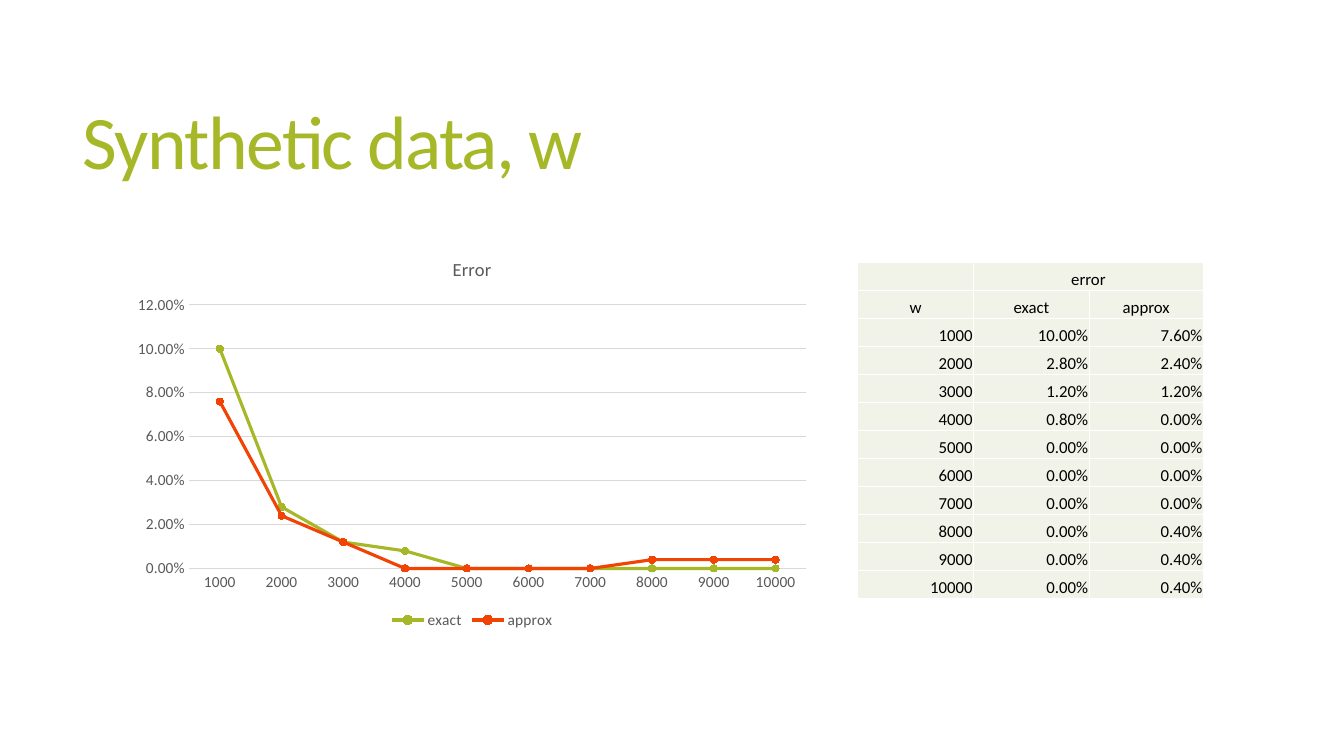
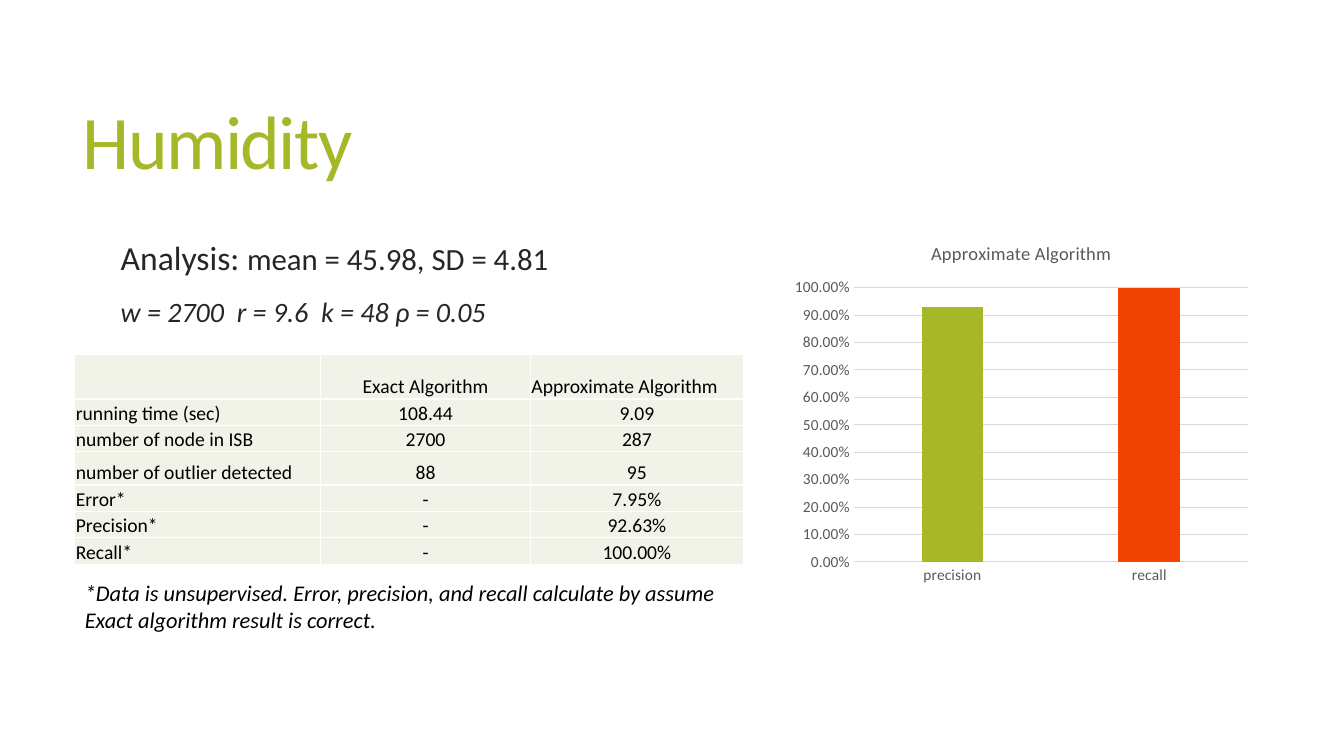
"""Build two slides on algorithm error: a synthetic test and the humidity data."""
from dataclasses import dataclass

from lxml import etree
from pptx import Presentation
from pptx import slide as sl
from pptx import util as u
from pptx.chart import chart as ch
from pptx.chart import data as cd
from pptx.dml import color as clr
from pptx.enum import chart as ec
from pptx.enum import text as et
from pptx.oxml import ns
from pptx.text import text as tx

COLORS = {
    "green": "A6B727",
    "red": "F04304",
    "cell": "F1F3E8",
    "white": "FFFFFF",
    "black": "000000",
    "body": "262626",
    "label": "595959",
    "grid": "D9D9D9",
}
FONT = "Calibri"
ALIGN = {
    "l": et.PP_ALIGN.LEFT,
    "c": et.PP_ALIGN.CENTER,
    "r": et.PP_ALIGN.RIGHT,
}


@dataclass(frozen=True)
class Box:
    left: float
    top: float
    width: float
    height: float

    def lengths(self) -> tuple[u.Length, ...]:
        return tuple(u.Pt(v) for v in (self.left, self.top, self.width, self.height))


@dataclass(frozen=True)
class Row:
    cells: list[str]
    align: str
    height: float


@dataclass(frozen=True)
class Series:
    name: str
    values: list[float]


TITLE_BOX = Box(52, 39.5, 848, 130.5)


def rgb(name: str) -> clr.RGBColor:
    return clr.RGBColor.from_string(COLORS[name])


def style_font(font: tx.Font, size: float, color: str, italic: bool = False) -> None:
    font.name = FONT
    font.size = u.Pt(size)
    font.color.rgb = rgb(color)
    font.bold = False
    font.italic = italic


def write(p: tx._Paragraph, text: str, *, size: float, color: str = "black",
          italic: bool = False, align: str = "l", tracking: float = 0) -> None:
    p.alignment = ALIGN[align]
    r = p.add_run()
    r.text = text
    style_font(r.font, size, color, italic)
    if tracking:
        r.font._element.set("spc", str(round(tracking * 100)))


def place(sp, box: Box) -> None:
    sp.left, sp.top, sp.width, sp.height = box.lengths()


def add_slide(prs, layout: int, title: str) -> sl.Slide:
    s = prs.slides.add_slide(prs.slide_layouts[layout])
    sp = s.shapes.title
    place(sp, TITLE_BOX)
    tf = sp.text_frame
    tf.auto_size = et.MSO_AUTO_SIZE.NONE
    tf.vertical_anchor = et.MSO_ANCHOR.MIDDLE
    p = tf.paragraphs[0]
    p.line_spacing = 0.85
    write(p, title, size=54, color="green", tracking=-1.2)
    return s


def add_borders(cell) -> None:
    tc_pr = cell._tc.get_or_add_tcPr()
    for side in ("L", "R", "T", "B"):
        ln = etree.SubElement(tc_pr, ns.qn(f"a:ln{side}"), w=str(u.Pt(1)))
        fill = etree.SubElement(ln, ns.qn("a:solidFill"))
        etree.SubElement(fill, ns.qn("a:srgbClr"), val=COLORS["white"])


def add_table(s: sl.Slide, box: Box, widths: list[float], rows: list[Row], size: float):
    tbl = s.shapes.add_table(len(rows), len(widths), *box.lengths()).table
    tbl.first_row = tbl.horz_banding = False
    for col, width in zip(tbl.columns, widths):
        col.width = u.Pt(width)
    for line, row in zip(tbl.rows, rows):
        line.height = u.Pt(row.height)
        for cell, text, align in zip(line.cells, row.cells, row.align):
            add_borders(cell)
            cell.fill.solid()
            cell.fill.fore_color.rgb = rgb("cell")
            cell.margin_left = cell.margin_right = cell.margin_top = u.Pt(0.7)
            cell.margin_bottom = 0
            cell.vertical_anchor = et.MSO_ANCHOR.BOTTOM
            p = cell.text_frame.paragraphs[0]
            if text:
                write(p, text, size=size, align=align)
            else:
                etree.SubElement(p._p, ns.qn("a:endParaRPr"), sz=str(round(size * 100)))
    return tbl


def add_chart(s: sl.Slide, kind: ec.XL_CHART_TYPE, box: Box, title: str,
              categories: list[str], series: list[Series]) -> ch.Chart:
    data = cd.CategoryChartData(number_format="0.00%")
    data.categories = categories
    for item in series:
        data.add_series(item.name, item.values)
    chart = s.shapes.add_chart(kind, *box.lengths(), data).chart
    style_font(chart.font, 11, "black")
    chart.has_legend = False
    chart.has_title = True
    write(chart.chart_title.text_frame.paragraphs[0], title,
          size=13.2, color="label", align="c")
    chart.plots[0].vary_by_categories = False

    cat, val = chart.category_axis, chart.value_axis
    for axis in (cat, val):
        axis.major_tick_mark = axis.minor_tick_mark = ec.XL_TICK_MARK.NONE
        style_font(axis.tick_labels.font, 11, "label")
    val.has_major_gridlines = True
    for line in (cat.format.line, val.major_gridlines.format.line):
        line.color.rgb = rgb("grid")
        line.width = u.Pt(0.75)
    val.format.line.fill.background()
    val.tick_labels.number_format = "0.00%"
    val.tick_labels.number_format_is_linked = False
    return chart


def build_synthetic(prs) -> None:
    s = add_slide(prs, 5, "Synthetic data, w")
    windows = [str(w) for w in range(1000, 10001, 1000)]
    exact = Series("exact", [0.1, 0.028, 0.012, 0.008, 0, 0, 0, 0, 0, 0])
    approx = Series("approx", [0.076, 0.024, 0.012, 0, 0, 0, 0, 0.004, 0.004, 0.004])

    rows = [Row(["", "error", ""], "ccc", 20),
            Row(["w", exact.name, approx.name], "ccc", 20)]
    rows += [Row([w, f"{e:.2%}", f"{a:.2%}"], "rrr", 20)
             for w, e, a in zip(windows, exact.values, approx.values)]
    tbl = add_table(s, Box(612.5, 187.5, 247, 240), [83, 82.5, 81.5], rows, 12)
    tbl.cell(0, 1).merge(tbl.cell(0, 2))

    chart = add_chart(s, ec.XL_CHART_TYPE.LINE_MARKERS, Box(88.5, 171.5, 497.5, 281),
                      "Error", windows, [exact, approx])
    chart.has_legend = True
    chart.legend.position = ec.XL_LEGEND_POSITION.BOTTOM
    chart.legend.include_in_layout = False
    style_font(chart.legend.font, 11, "label")
    for series, color in zip(chart.plots[0].series, ("green", "red")):
        series.smooth = False
        series.format.line.color.rgb = rgb(color)
        series.format.line.width = u.Pt(2.25)
        marker = series.marker
        marker.style = ec.XL_MARKER_STYLE.CIRCLE
        marker.size = 5
        marker.format.fill.solid()
        marker.format.fill.fore_color.rgb = rgb(color)
        marker.format.line.color.rgb = rgb(color)


def add_analysis(s: sl.Slide) -> None:
    sp = s.placeholders[1]
    place(sp, Box(52, 170, 847, 286.5))
    tf = sp.text_frame
    tf.auto_size = et.MSO_AUTO_SIZE.NONE
    mean, params = tf.paragraphs[0], tf.add_paragraph()
    for p, gap in ((mean, 0), (params, 16)):
        p_pr = p._p.get_or_add_pPr()
        p_pr.set("marL", str(u.Pt(27)))
        p_pr.set("indent", "0")
        etree.SubElement(p_pr, ns.qn("a:buNone"))
        p.line_spacing = 0.85
        p.space_before = u.Pt(gap)
    write(mean, "Analysis: ", size=24, color="body")
    write(mean, "mean = 45.98, SD = 4.81", size=22, color="body")
    write(params, "w = 2700  r = 9.6  k = 48 ρ = 0.05", size=20, color="body", italic=True)


def build_humidity(prs) -> None:
    s = add_slide(prs, 1, "Humidity")
    add_analysis(s)

    rows = [
        Row(["", "Exact Algorithm", "Approximate Algorithm"], "lcl", 31.5),
        Row(["running time (sec)", "108.44", "9.09"], "lcc", 18.9),
        Row(["number of node in ISB", "2700", "287"], "lcc", 18.9),
        Row(["number of outlier detected", "88", "95"], "lcc", 23.7),
        Row(["Error*", "-", "7.95%"], "lcc", 18.9),
        Row(["Precision*", "-", "92.63%"], "lcc", 18.9),
        Row(["Recall*", "-", "100.00%"], "lcc", 18.9),
    ]
    add_table(s, Box(53.5, 253.5, 477.5, 149.7), [175.5, 150, 152], rows, 14)

    name = "Approximate Algorithm"
    chart = add_chart(s, ec.XL_CHART_TYPE.COLUMN_CLUSTERED, Box(561, 160, 337, 263),
                      name, ["precision", "recall"], [Series(name, [0.93, 1])])
    val = chart.value_axis
    val.minimum_scale, val.maximum_scale, val.major_unit = 0, 1, 0.1
    plot = chart.plots[0]
    plot.gap_width, plot.overlap = 219, -27
    bars = plot.series[0]
    bars.invert_if_negative = False
    for part, color in ((bars, "green"), (bars.points[1], "red")):
        part.format.fill.solid()
        part.format.fill.fore_color.rgb = rgb(color)

    tf = s.shapes.add_textbox(*Box(53.5, 410, 477.5, 46).lengths()).text_frame
    tf.word_wrap = True
    write(tf.paragraphs[0],
          "*Data is unsupervised. Error, precision, and recall calculate by assume "
          "Exact algorithm result is correct.", size=16, italic=True)


def main() -> None:
    prs = Presentation()
    prs.slide_width, prs.slide_height = u.Pt(960), u.Pt(540)
    build_synthetic(prs)
    build_humidity(prs)
    prs.save("out.pptx")


if __name__ == "__main__":
    main()
